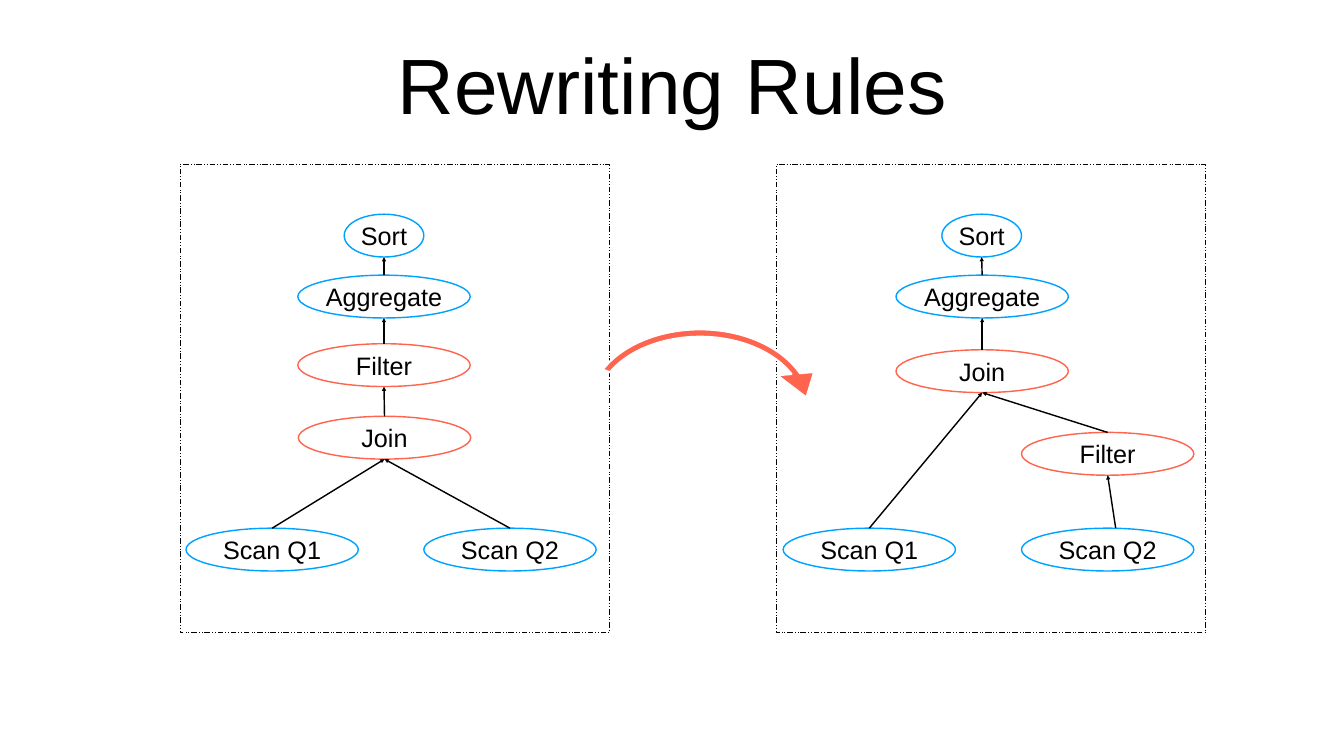
from dataclasses import dataclass

from lxml import etree
from pptx import Presentation
from pptx import util as u
from pptx.dml.color import RGBColor
from pptx.enum import dml, shapes, text
from pptx.oxml.ns import qn

SCALE = 9144  # EMU per px, 100 px to the inch
FONT = "Arial"
HUES = {"black": "000000", "white": "FFFFFF", "blue": "00A2FF", "red": "FF644E"}
HIGH = 85
WIDE = 342
SHORT = 158


@dataclass
class Node:
    label: str
    mid: int
    top: int
    hue: str = "blue"
    width: int = WIDE


@dataclass
class Link:
    child: str
    goal: str
    shift: int = 0


@dataclass
class Plan:
    left: int
    nodes: list[Node]
    links: list[Link]


PLANS = [
    Plan(
        357,
        [
            Node("Sort", 762, 425, width=SHORT),
            Node("Aggregate", 762, 546),
            Node("Filter", 762, 682, "red"),
            Node("Join", 763, 826, "red"),
            Node("Scan Q1", 540, 1048),
            Node("Scan Q2", 1012, 1048),
        ],
        [
            Link("Scan Q1", "Join"),
            Link("Scan Q2", "Join"),
            Link("Join", "Filter"),
            Link("Filter", "Aggregate"),
            Link("Aggregate", "Sort"),
        ],
    ),
    Plan(
        1540,
        [
            Node("Sort", 1948, 425, width=SHORT),
            Node("Aggregate", 1949, 546),
            Node("Filter", 2198, 858, "red"),
            Node("Join", 1949, 694, "red"),
            Node("Scan Q1", 1725, 1048),
            Node("Scan Q2", 2198, 1048),
        ],
        [
            Link("Scan Q1", "Join"),
            Link("Scan Q2", "Filter", 16),
            Link("Filter", "Join"),
            Link("Join", "Aggregate"),
            Link("Aggregate", "Sort"),
        ],
    ),
]


def px(*vals: int) -> list[int]:
    return [u.Emu(val * SCALE) for val in vals]


def tint(name: str) -> RGBColor:
    return RGBColor.from_string(HUES[name])


def write(box, words: str, size: int, pad: int) -> None:
    frame = box.text_frame
    frame.text = words
    frame.word_wrap = True
    frame.vertical_anchor = text.MSO_ANCHOR.MIDDLE
    inset = px(pad)[0]
    frame.margin_left = frame.margin_right = inset
    frame.margin_top = frame.margin_bottom = inset
    para = frame.paragraphs[0]
    para.alignment = text.PP_ALIGN.CENTER
    font = para.runs[0].font
    font.name = FONT
    font.size = u.Pt(size)
    font.color.rgb = tint("black")


def add(slide, kind, area: tuple, fill: str | None, line: str, weight: int):
    """Add a preset shape; no fill name leaves it clear."""
    shape = slide.shapes.add_shape(kind, *px(*area))
    shape.shadow.inherit = False
    if fill:
        shape.fill.solid()
        shape.fill.fore_color.rgb = tint(fill)
    else:
        shape.fill.background()
    shape.line.color.rgb = tint(line)
    shape.line.width = u.Pt(weight)
    return shape


def draw_node(slide, node: Node) -> None:
    area = (node.mid - node.width // 2, node.top, node.width, HIGH)
    oval = add(slide, shapes.MSO_SHAPE.OVAL, area, "white", node.hue, 2)
    write(oval, node.label, 36, 0)
    oval.text_frame.auto_size = text.MSO_AUTO_SIZE.SHAPE_TO_FIT_TEXT


def draw_link(slide, link: Link, nodes: dict[str, Node]) -> None:
    """Point from the top of the child to the foot of its goal."""
    child, goal = nodes[link.child], nodes[link.goal]
    ends = px(child.mid + link.shift, child.top, goal.mid, goal.top + HIGH)
    wire = slide.shapes.add_connector(shapes.MSO_CONNECTOR.STRAIGHT, *ends)
    wire.line.color.rgb = tint("black")
    wire.line.width = u.Pt(2)
    props = wire.element.spPr
    etree.SubElement(props.find(qn("a:ln")), qn("a:tailEnd"), type="triangle")
    etree.SubElement(props, qn("a:effectLst"))


def draw_frame(slide, left: int) -> None:
    area = (left, 326, 852, 929)
    frame = add(slide, shapes.MSO_SHAPE.RECTANGLE, area, None, "black", 1)
    frame.line.dash_style = dml.MSO_LINE.DASH_DOT_DOT


def draw_turn(slide) -> None:
    kind = shapes.MSO_SHAPE.CIRCULAR_ARROW
    turn = add(slide, kind, (1139, 624, 500, 368), "red", "white", 3)
    for i, val in enumerate((0.04, 8.47, 204.4, 120.7, 0.1)):
        turn.adjustments[i] = val


def main() -> None:
    deck = Presentation()
    deck.slide_width, deck.slide_height = px(2667, 1500)
    slide = deck.slides.add_slide(deck.slide_layouts[6])

    title = slide.shapes.add_textbox(*px(185, 39, 2297, 250))
    write(title, "Rewriting Rules", 112, 6)

    for plan in PLANS:
        nodes = {node.label: node for node in plan.nodes}
        for node in plan.nodes:
            draw_node(slide, node)
        for link in plan.links:
            draw_link(slide, link, nodes)
        draw_frame(slide, plan.left)
    draw_turn(slide)

    deck.save("out.pptx")


if __name__ == "__main__":
    main()
